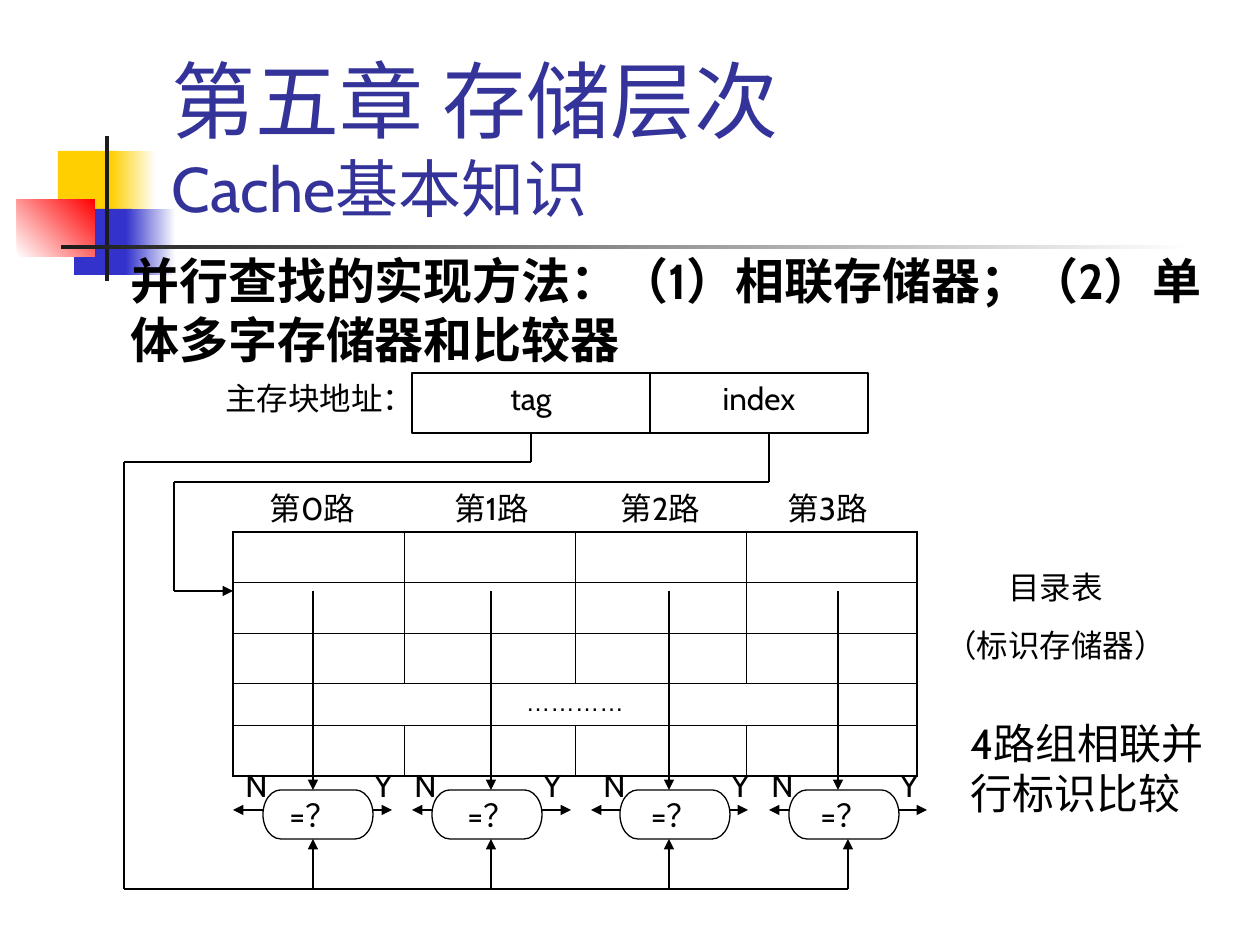
"""Build the slide on parallel tag comparison in a four-way set-associative cache."""
from collections import namedtuple
from itertools import pairwise

from lxml.etree import SubElement
from pptx import Presentation
from pptx.dml.color import RGBColor
from pptx.enum.shapes import MSO_CONNECTOR as Connector, MSO_SHAPE as Shape
from pptx.enum.text import MSO_ANCHOR as Anchor, MSO_AUTO_SIZE as AutoSize, PP_ALIGN as Align
from pptx.oxml import parse_xml
from pptx.oxml.ns import nsdecls, qn
from pptx.util import Pt

PX = 914400 / 126
BLACK = RGBColor(0x00, 0x00, 0x00)
WHITE = RGBColor(0xFF, 0xFF, 0xFF)
DARK = RGBColor(0x1C, 0x1C, 0x1C)
YELLOW = RGBColor(0xFF, 0xCF, 0x01)
BLUE = RGBColor(0x33, 0x33, 0xCC)
RED = RGBColor(0xFF, 0x00, 0x00)
TITLE_BLUE = RGBColor(0x33, 0x33, 0x99)

deck = Presentation()
deck.slide_width, deck.slide_height = round(1260 * PX), round(945 * PX)
page = deck.slides.add_slide(deck.slide_layouts[5])


def add_text(left, top, width, height, lines, size=18, align=Align.LEFT, bold=False):
    box = page.shapes.add_textbox(*(round(n * PX) for n in (left, top, width, height)))
    frame = box.text_frame
    frame.word_wrap = True
    for index, line in enumerate(lines):
        para = frame.add_paragraph() if index else frame.paragraphs[0]
        para.alignment = align
        if index:
            para.space_before = Pt(11.2)
        span = para.add_run()
        span.text = line
        span.font.name, span.font.size, span.font.bold = "Cabin", Pt(size), bold
        span.font.color.rgb = BLACK


def add_line(start, end, arrow=False):
    wire = page.shapes.add_connector(Connector.STRAIGHT, *(round(n * PX) for n in (*start, *end)))
    wire.line.color.rgb = BLACK
    wire.line.width = Pt(0.75)
    if arrow:
        SubElement(wire.line._get_or_add_ln(), qn("a:tailEnd"), type="triangle")
    SubElement(wire.element.spPr, qn("a:effectLst"))


ornaments = [
    (58, 151, 60, 66, [YELLOW], 0),
    (111, 151, 45, 66, [YELLOW, WHITE], 0),
    (74, 209, 58, 66, [BLUE], 0),
    (126, 209, 50, 66, [BLUE, WHITE], 0),
    (17, 199, 78, 58, [WHITE, RED], 45),
    (105, 136, 4, 145, [DARK], 0),
    (61, 245, 1134, 4, [DARK, WHITE], 0),
]
for *place, colours, angle in ornaments:
    ornament = page.shapes.add_shape(Shape.RECTANGLE, *(round(n * PX) for n in place))
    ornament.shadow.inherit = False
    ornament.line.fill.background()
    if len(colours) == 1:
        ornament.fill.solid()
        ornament.fill.fore_color.rgb = colours[0]
    else:
        ornament.fill.gradient()
        ornament.fill.gradient_angle = angle
        for stop, colour in zip(ornament.fill.gradient_stops, colours):
            stop.color.rgb = colour

title = page.shapes.title
page.shapes.element.append(title.element)
title.left, title.top, title.width, title.height = (round(n * PX) for n in (159, 29, 1074, 202))
title.text_frame.vertical_anchor = Anchor.BOTTOM
title.text_frame.auto_size = AutoSize.NONE
para = title.text_frame.paragraphs[0]
para.alignment = Align.LEFT
for text, size in (("第五章 存储层次", 48), ("Cache基本知识", 36)):
    if para.runs:
        para.add_line_break()
    span = para.add_run()
    span.text = text
    span.font.name, span.font.size = "Cabin", Pt(size)
    span.font.color.rgb = TITLE_BLUE

add_text(118, 244, 1097, 131, ["并行查找的实现方法：（1）相联存储器；（2）单体多字存储器和比较器"], 28, bold=True)

directory = page.shapes.add_table(5, 4, *(round(n * PX) for n in (233, 532, 684, 210))).table
directory.first_row = directory.horz_banding = False
for row in directory.rows:
    row.height = round(42 * PX)
directory.cell(3, 0).merge(directory.cell(3, 3))
for r in range(5):
    for c in range(4):
        cell = directory.cell(r, c)
        cell.fill.background()
        if cell.is_spanned:
            continue
        outer = {"L": c == 0, "R": c + cell.span_width == 4, "T": r == 0, "B": r == 4}
        for index, (side, is_outer) in enumerate(outer.items()):
            width = Pt(1.08) if is_outer else Pt(0.45)
            cell._tc.tcPr.insert(index, parse_xml(
                f'<a:ln{side} {nsdecls("a")} w="{width}"><a:solidFill>'
                f'<a:srgbClr val="{BLACK}"/></a:solidFill></a:ln{side}>'))
para = directory.cell(3, 0).text_frame.paragraphs[0]
para.alignment = Align.CENTER
span = para.add_run()
span.text = "…………"
span.font.name, span.font.size = "Arial", Pt(14)
span.font.color.rgb = BLACK

add_text(213, 373, 228, 50, ["主存块地址："])
Way = namedtuple("Way", "label_left label_width node check_left check_width wire tag_wire n_left n_tip y_tip")
ways = [
    Way(223, 179, 263, 253, 120, 313, 313, 233, 233, 392),
    Way(402, 179, 432, 432, 118, 491, 491, 402, 412, 571),
    Way(581, 159, 620, 610, 129, 669, 669, 591, 591, 748),
    Way(748, 159, 789, 789, 110, 838, 848, 759, 769, 927),
]
outlines = [(Shape.RECTANGLE, 412, 373, 456, 60)]
outlines += [(Shape.FLOWCHART_TERMINATOR, way.node, 790, 110, 49) for way in ways]
for kind, *place in outlines:
    outline = page.shapes.add_shape(kind, *(round(n * PX) for n in place))
    outline.shadow.inherit = False
    outline.fill.background()
    outline.line.color.rgb = BLACK
    outline.line.width = Pt(0.75)
add_line((650, 373), (650, 433))
add_text(412, 373, 238, 50, ["tag"], align=Align.CENTER)
add_text(650, 373, 218, 50, ["index"], align=Align.CENTER)

index_route = [(769, 433), (769, 482), (174, 482), (174, 591), (233, 591)]
tag_route = [(531, 433), (531, 462), (124, 462), (124, 889), (848, 889)]
for route, has_arrow in ((index_route, True), (tag_route, False)):
    for start, end in pairwise(route):
        add_line(start, end, has_arrow and end == route[-1])

for number, way in enumerate(ways):
    add_text(way.label_left, 483, way.label_width, 50, [f"第{number}路"], align=Align.CENTER)
    add_text(way.check_left, 790, way.check_width, 50, ["=？"], align=Align.CENTER)
    add_line((way.wire, 591), (way.wire, 790), True)
    add_line((way.tag_wire, 889), (way.tag_wire, 839), True)
    add_line((way.node, 810), (way.n_tip, 810), True)
    add_line((way.node + 110, 810), (way.y_tip, 810), True)
    add_text(way.n_left, 760, 40, 50, ["N"])
    add_text(way.node + 99, 760, 40, 50, ["Y"])

add_text(917, 562, 277, 108, ["目录表", "（标识存储器）"], align=Align.CENTER)
add_text(958, 711, 268, 164, ["4路组相联并行标识比较"], 24)

deck.save("out.pptx")
